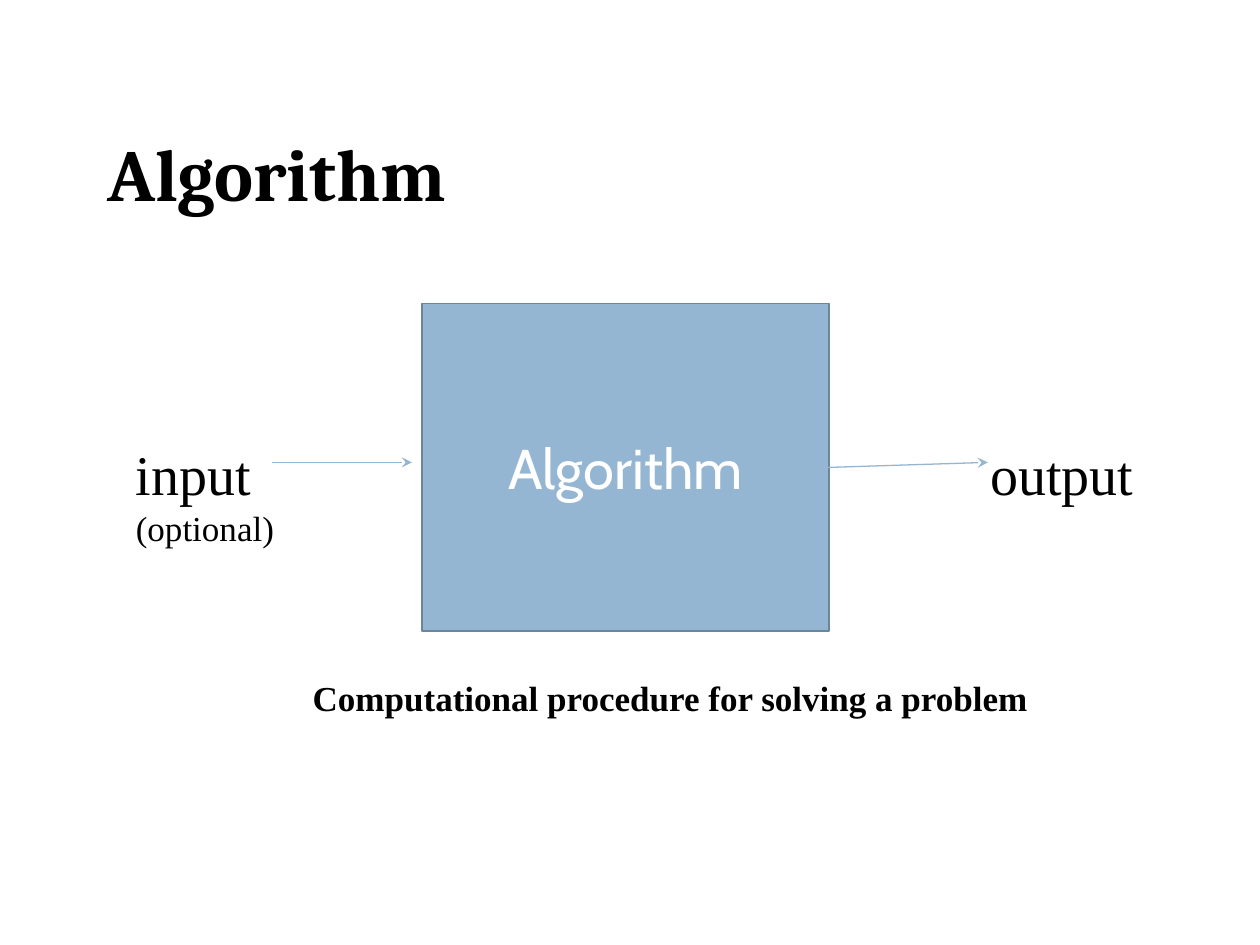
"""Build a slide that shows an algorithm as a box between input and output."""
from pptx import Presentation
from pptx.dml.color import RGBColor
from pptx.enum.shapes import MSO_CONNECTOR as Connector, MSO_SHAPE as Shape
from pptx.enum.text import MSO_ANCHOR as Anchor, MSO_AUTO_SIZE as AutoSize, PP_ALIGN as Align
from pptx.oxml.ns import qn
from pptx.util import Inches, Pt
from lxml.etree import SubElement

BLUE = "94B6D2"
SERIF = "Times New Roman"


def color(value):
    """Turn a hex string into a colour."""
    return RGBColor.from_string(value)


def write(para, text, size=20, font=SERIF, fill="000000", bold=False,
          align=Align.LEFT, spacing=1.0):
    """Put one formatted span of text into a paragraph."""
    para.alignment = align
    para.line_spacing = spacing
    para.space_before = Pt(0)
    span = para.add_run()
    span.text = text
    span.font.size = Pt(size)
    span.font.name = font
    span.font.bold = bold
    span.font.color.rgb = color(fill)


def add_title(page, text):
    """Fill and move the title placeholder."""
    title = page.shapes.title
    title.left, title.top = Inches(0.75), Inches(0.53)
    title.width, title.height = Inches(8.5), Inches(1.76)
    frame = title.text_frame
    frame.auto_size = AutoSize.NONE
    frame.vertical_anchor = Anchor.MIDDLE
    write(frame.paragraphs[0], text, size=42, font="Cambria", bold=True, spacing=0.9)


def add_process(page, text, left, top, width, height):
    """Draw the filled process box with its centred name."""
    box = page.shapes.add_shape(Shape.RECTANGLE, Inches(left), Inches(top),
                                Inches(width), Inches(height))
    box.shadow.inherit = False
    box.fill.solid()
    box.fill.fore_color.rgb = color(BLUE)
    box.line.color.rgb = color("6B859A")
    box.line.width = Pt(1)
    box.text_frame.vertical_anchor = Anchor.MIDDLE
    write(box.text_frame.paragraphs[0], text, size=32, font="Cabin",
          fill="FFFFFF", align=Align.CENTER)


def add_label(page, left, top, width, height, lines, **style):
    """Add a text box with one paragraph for each text and size."""
    box = page.shapes.add_textbox(Inches(left), Inches(top), Inches(width), Inches(height))
    frame = box.text_frame
    frame.word_wrap = True
    for index, (text, size) in enumerate(lines):
        para = frame.add_paragraph() if index else frame.paragraphs[0]
        write(para, text, size=size, **style)


def add_arrow(page, start, end):
    """Draw a thin line with a stealth head at its end."""
    arrow = page.shapes.add_connector(Connector.STRAIGHT, *map(Inches, start + end))
    arrow.line.color.rgb = color(BLUE)
    arrow.line.width = Pt(0.75)
    SubElement(arrow.line._get_or_add_ln(), qn("a:tailEnd"), type="stealth")
    SubElement(arrow._element.spPr, qn("a:effectLst"))


def main():
    """Build and save the deck."""
    deck = Presentation()
    deck.slide_width, deck.slide_height = Inches(10), Inches(7.5)
    page = deck.slides.add_slide(deck.slide_layouts[5])
    add_title(page, "Algorithm")
    add_process(page, "Algorithm", 3.35, 2.41, 3.23, 2.6)
    add_arrow(page, (2.16, 3.67), (3.27, 3.67))
    add_label(page, 0.98, 3.44, 1.93, 0.98, [("input", 32), ("(optional)", 20)])
    add_arrow(page, (6.57, 3.71), (7.84, 3.67))
    add_label(page, 7.76, 3.44, 1.49, 0.64, [("output", 32)])
    add_label(page, 1.38, 5.32, 7.88, 0.44,
              [("Computational procedure for solving a problem", 20)],
              bold=True, align=Align.CENTER)
    deck.save("out.pptx")


if __name__ == "__main__":
    main()
